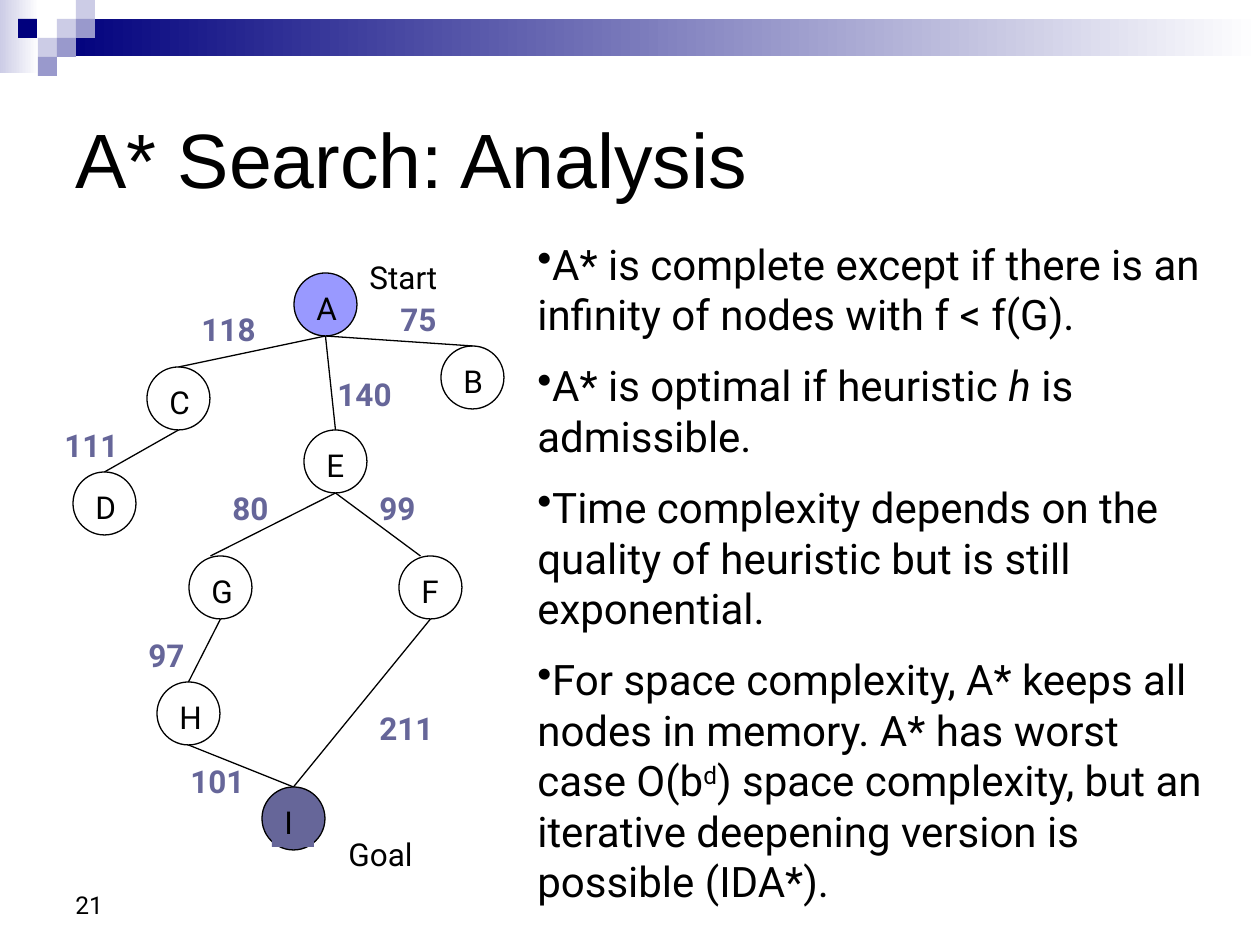
"""Build the A* search analysis slide: a weighted search tree beside four findings."""
from lxml import etree
from pptx import Presentation
from pptx.dml.color import RGBColor
from pptx.enum.shapes import MSO_CONNECTOR, MSO_SHAPE
from pptx.enum.text import MSO_ANCHOR
from pptx.oxml.ns import qn
from pptx.util import Emu, Pt

RECT, OVAL = MSO_SHAPE.RECTANGLE, MSO_SHAPE.OVAL
STRAIGHT = MSO_CONNECTOR.STRAIGHT
TOP, MIDDLE, BOTTOM = MSO_ANCHOR.TOP, MSO_ANCHOR.MIDDLE, MSO_ANCHOR.BOTTOM

COLORS = {"black": "000000", "white": "FFFFFF", "navy": "00007D", "pale": "CCCCE6",
          "lilac": "9999CC", "start": "9999FF", "slate": "666699"}
FORMATS = {
    "title": {"name": "Arial", "size": Pt(44)},
    "body": {"name": "Roboto", "size": Pt(24)},
    "label": {"name": "Roboto", "size": Pt(18)},
    "cost": {"name": "Roboto", "size": Pt(18), "bold": True},
    "number": {"name": "Roboto", "size": Pt(14)},
}

BANDS = [((0, 0, 39, 73), "pale"), ((57, 19, 1203, 37), "navy")]
SQUARE = 19
SQUARES = [(57, 19, "pale"), (76, 0, "pale"), (76, 19, "lilac"), (38, 38, "pale"),
           (18, 19, "navy"), (57, 38, "lilac"), (38, 57, "lilac")]

TITLE = "A* Search: Analysis"
PAGE = "21"
FINDINGS = [
    [("A* is complete except if there is an infinity of nodes with f < f(G).", "")],
    [("A* is optimal if heuristic ", ""), ("h", "italic"), (" is admissible.", "")],
    [("Time complexity depends on the quality of heuristic but is still exponential.", "")],
    [("For space complexity, A* keeps all nodes in memory. A* has worst case O(b", ""),
     ("d", "super"),
     (") space complexity, but an iterative deepening version is possible (IDA*).", "")],
]

NODE, INSET, LETTER_W, LINE_H = 63, 10, 42, 50
NODES = {"A": (294, 273), "B": (441, 346), "C": (147, 367), "D": (73, 472), "E": (304, 430),
         "F": (399, 556), "G": (189, 556), "H": (157, 682), "I": (262, 787)}
NODE_FILLS = {"A": "start", "I": "slate"}
LETTER_FILLS = {"I": "slate"}
EDGES = [("A", "B", 0), ("A", "C", 0), ("A", "E", 0), ("C", "D", 0), ("E", "F", -10),
         ("E", "G", -10), ("G", "H", 0), ("F", "I", 0), ("H", "I", 0)]
COSTS = [("75", 388, 294), ("118", 189, 304), ("140", 325, 369), ("111", 52, 420),
         ("99", 367, 483), ("80", 220, 483), ("97", 136, 630), ("211", 367, 703),
         ("101", 178, 756)]
COST_W = 105
ENDS = [("Start", 357, 252), ("Goal", 336, 829)]
END_W = 168


def px(length):
    return Emu(round(length * 914400 / 126))


def rgb(color):
    return RGBColor.from_string(COLORS[color])


def add_figure(slide, kind, box, fill=None, fade=False, outline=False):
    figure = slide.shapes.add_shape(kind, *map(px, box))
    figure.shadow.inherit = False
    if fade:
        figure.fill.gradient()
        figure.fill.gradient_angle = 0
        for stop, color in zip(figure.fill.gradient_stops, (fill, "white")):
            stop.color.rgb = rgb(color)
    elif fill:
        figure.fill.solid()
        figure.fill.fore_color.rgb = rgb(fill)
    else:
        figure.fill.background()
    if outline:
        figure.line.color.rgb = rgb("black")
        figure.line.width = Pt(0.75)
    else:
        figure.line.fill.background()


def add_run(paragraph, words, style, color="black"):
    run = paragraph.add_run()
    run.text = words
    for key, value in FORMATS[style].items():
        setattr(run.font, key, value)
    run.font.color.rgb = rgb(color)
    return run


def add_text(slide, box, words, style, color="black", anchor=TOP, fill=None):
    label = slide.shapes.add_textbox(*map(px, box))
    if fill:
        label.fill.solid()
        label.fill.fore_color.rgb = rgb(fill)
    frame = label.text_frame
    frame.word_wrap = True
    frame.vertical_anchor = anchor
    if words:
        add_run(frame.paragraphs[0], words, style, color)
    return frame


def add_bullet(paragraph):
    properties = paragraph._p.get_or_add_pPr()
    properties.set("marL", "0")
    properties.set("indent", "0")
    bullet_color = etree.SubElement(properties, qn("a:buClr"))
    etree.SubElement(bullet_color, qn("a:srgbClr"), val=COLORS["black"])
    etree.SubElement(properties, qn("a:buChar"), char="•")


def add_findings(slide):
    frame = add_text(slide, (525, 232, 703, 692), "", "body")
    for index, finding in enumerate(FINDINGS):
        paragraph = frame.add_paragraph() if index else frame.paragraphs[0]
        paragraph.space_before = Pt(12 if index else 0)
        add_bullet(paragraph)
        for words, emphasis in finding:
            run = add_run(paragraph, words, "body")
            if emphasis == "italic":
                run.font.italic = True
            elif emphasis == "super":
                run.font._element.set("baseline", "30000")


def add_tree(slide):
    for parent, child, shift in EDGES:
        (x1, y1), (x2, y2) = NODES[parent], NODES[child]
        points = (x1 + NODE / 2, y1 + NODE, x2 + NODE / 2 + shift, y2)
        edge = slide.shapes.add_connector(STRAIGHT, *map(px, points))
        edge.line.color.rgb = rgb("black")
        edge.line.width = Pt(0.75)
        etree.SubElement(edge._element.spPr, qn("a:effectLst"))
    for letter, (x, y) in NODES.items():
        add_figure(slide, OVAL, (x, y, NODE, NODE), NODE_FILLS.get(letter), outline=True)
        add_text(slide, (x + INSET, y + INSET, LETTER_W, LINE_H), letter, "label",
                 fill=LETTER_FILLS.get(letter))
    for cost, x, y in COSTS:
        add_text(slide, (x, y, COST_W, LINE_H), cost, "cost", "slate")
    for end, x, y in ENDS:
        add_text(slide, (x, y, END_W, LINE_H), end, "label")


def main():
    deck = Presentation()
    deck.slide_width, deck.slide_height = px(1260), px(945)
    slide = deck.slides.add_slide(deck.slide_layouts[6])
    for box, color in BANDS:
        add_figure(slide, RECT, box, color, fade=True)
    for x, y, color in SQUARES:
        add_figure(slide, RECT, (x, y, SQUARE, SQUARE), color)
    add_text(slide, (63, 861, 294, 65), PAGE, "number", anchor=BOTTOM)
    add_text(slide, (63, 63, 1134, 189), TITLE, "title", anchor=MIDDLE)
    add_tree(slide)
    add_findings(slide)
    deck.save("out.pptx")


if __name__ == "__main__":
    main()
